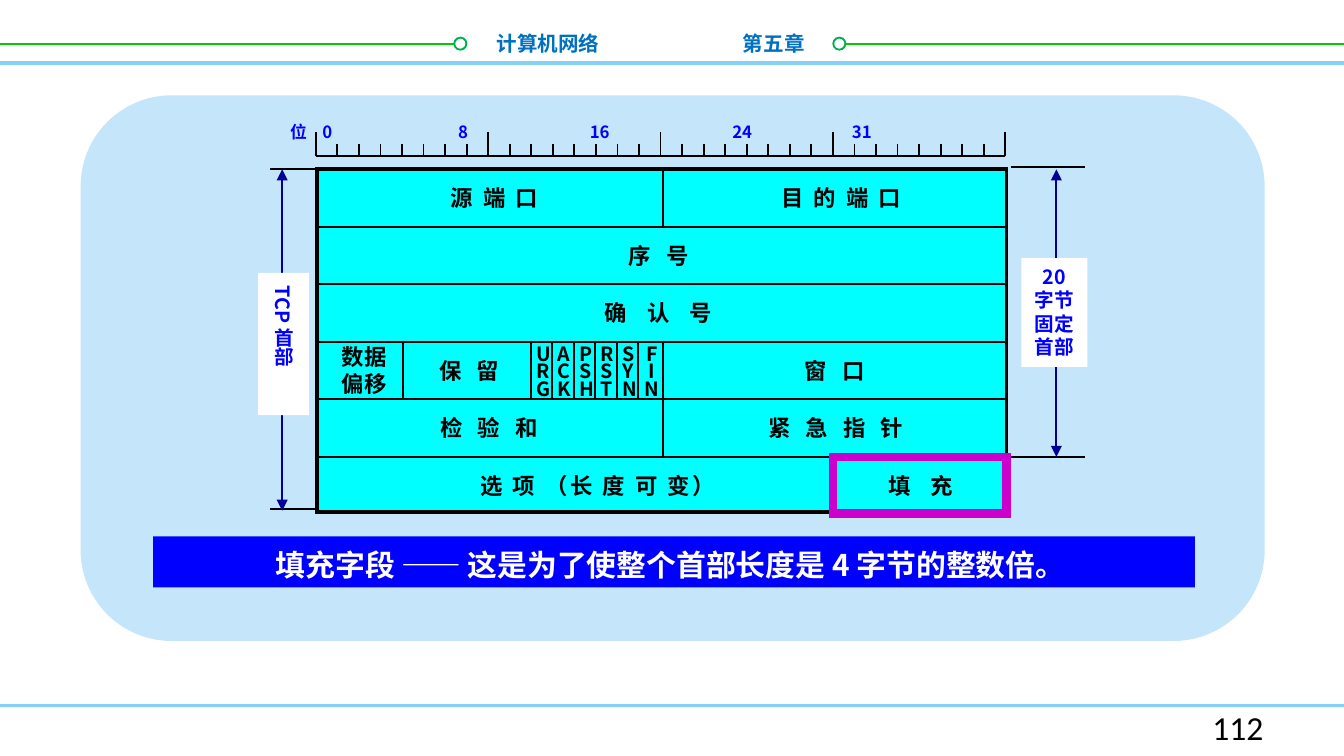
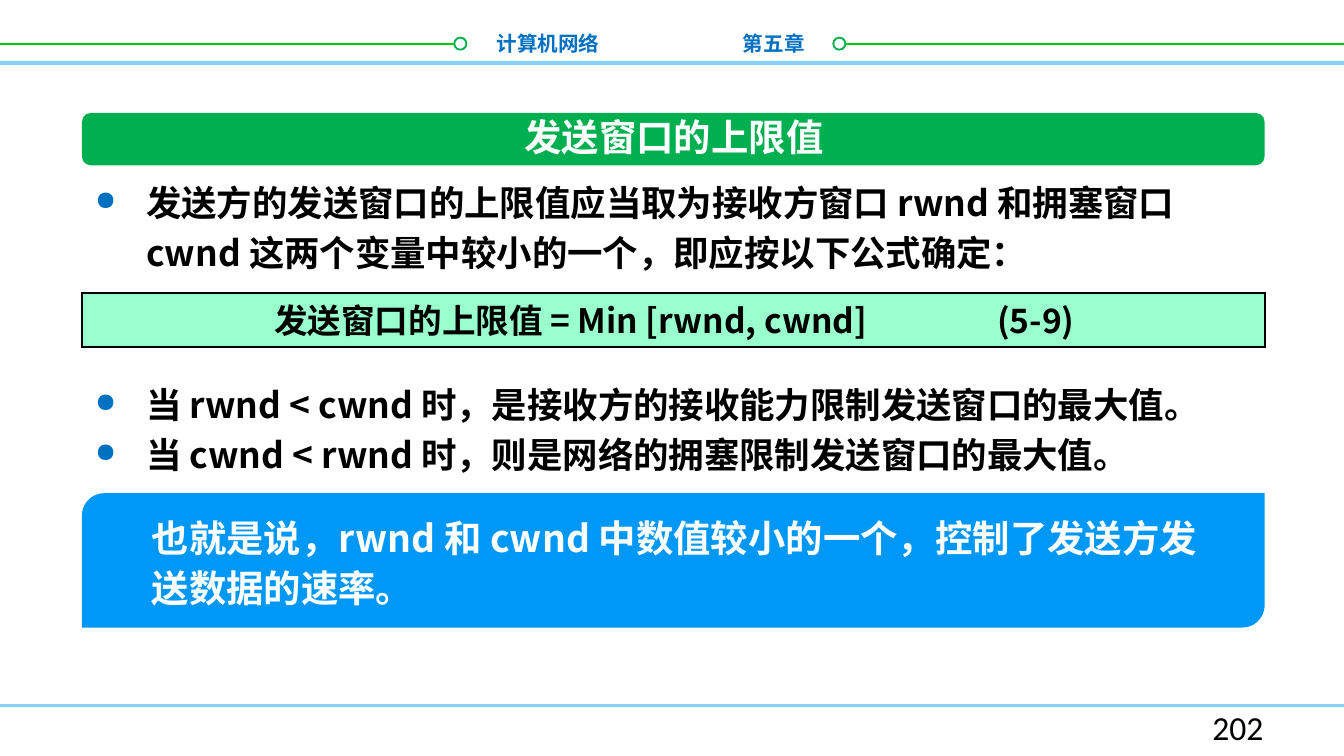
from lxml import etree
from pptx import Presentation
from pptx.dml.color import RGBColor
from pptx.enum.shapes import MSO_CONNECTOR, MSO_SHAPE
from pptx.enum.text import MSO_ANCHOR, MSO_AUTO_SIZE, PP_ALIGN
from pptx.oxml.ns import qn
from pptx.util import Inches, Pt

LEFT, CENTER, RIGHT = PP_ALIGN.LEFT, PP_ALIGN.CENTER, PP_ALIGN.RIGHT
TOP, MIDDLE = MSO_ANCHOR.TOP, MSO_ANCHOR.MIDDLE
RECT, ROUNDED, OVAL = MSO_SHAPE.RECTANGLE, MSO_SHAPE.ROUNDED_RECTANGLE, MSO_SHAPE.OVAL
DIAGONAL = MSO_SHAPE.ROUND_2_DIAG_RECTANGLE
STRAIGHT = MSO_CONNECTOR.STRAIGHT
FIT, NO_FIT = MSO_AUTO_SIZE.SHAPE_TO_FIT_TEXT, MSO_AUTO_SIZE.NONE

FONT, NUMBER_FONT = "Noto Sans CJK SC", "Calibri"
BLACK, WHITE = "000000", "FFFFFF"
SKY, LIME, GREEN, TITLE_BLUE = "85D1F7", "00CC00", "00B050", "0070C0"
PALE_BLUE, CYAN, BLUE, NAVY, MAGENTA = "C5E5FB", "00FFFF", "0000FF", "000099", "CC00CC"
MINT, BRIGHT_BLUE = "99FFCC", "0098F6"
WIDTH = 10
HEIGHT = WIDTH * 9 / 16


def color(value):
    return RGBColor.from_string(value)


def add_line(slide, x1, y1, x2, y2, line=BLACK, weight=1, arrows=False):
    connector = slide.shapes.add_connector(
        STRAIGHT, Inches(x1), Inches(y1), Inches(x2), Inches(y2))
    connector.line.color.rgb = color(line)
    connector.line.width = Pt(weight)
    if arrows:
        outline = connector.line._get_or_add_ln()
        for end in ("a:headEnd", "a:tailEnd"):
            etree.SubElement(outline, qn(end), type="triangle")
    etree.SubElement(connector._element.spPr, qn("a:effectLst"))


def add_box(slide, kind, left, top, width, height, fill=None, line=None, weight=1):
    box = slide.shapes.add_shape(
        kind, Inches(left), Inches(top), Inches(width), Inches(height))
    box.shadow.inherit = False
    if fill:
        box.fill.solid()
        box.fill.fore_color.rgb = color(fill)
    else:
        box.fill.background()
    if line:
        box.line.color.rgb = color(line)
        box.line.width = Pt(weight)
        etree.SubElement(box.line._get_or_add_ln(), qn("a:miter"), lim="800000")
    else:
        box.line.fill.background()
    return box


def write(box, text, size, ink=BLACK, align=LEFT, anchor=TOP, wrap=True, grow=True,
          spacing=None, tracking=0, font=FONT, bold=True, bullet=None, tabs=()):
    """Put text in a box; tracking is the extra gap between letters in points."""
    frame = box.text_frame
    frame.text = text
    frame.word_wrap = wrap
    frame.auto_size = FIT if grow else NO_FIT
    frame.vertical_anchor = anchor
    for para in frame.paragraphs:
        para.alignment = align
        properties = para._p.get_or_add_pPr()
        if bullet:
            properties.set("marL", str(Inches(0.38)))
            properties.set("indent", str(-Inches(0.38)))
            bullet_color = etree.SubElement(properties, qn("a:buClr"))
            etree.SubElement(bullet_color, qn("a:srgbClr"), val=bullet)
            etree.SubElement(properties, qn("a:buSzPct"), val="75000")
            etree.SubElement(properties, qn("a:buChar"), char="●")
        if tabs:
            stops = etree.SubElement(properties, qn("a:tabLst"))
            for stop in tabs:
                etree.SubElement(stops, qn("a:tab"), pos=str(Inches(stop)), algn="l")
        if spacing:
            para.line_spacing = spacing
        for span in para.runs:
            span.font.size = Pt(size)
            span.font.bold = bold
            span.font.color.rgb = color(ink)
            span.font.name = font
            etree.SubElement(span._r.rPr, qn("a:ea"), typeface=font)
            if tracking:
                span._r.rPr.set("spc", str(round(tracking * 100)))
    return frame


def add_text(slide, left, top, width, height, text, size, **style):
    box = slide.shapes.add_textbox(
        Inches(left), Inches(top), Inches(width), Inches(height))
    return write(box, text, size, **style)


def add_page(deck, number):
    """Add a slide with the course header, the footer rule and its number."""
    slide = deck.slides.add_slide(deck.slide_layouts[6])
    add_line(slide, 0, 0.47, WIDTH, 0.47, SKY, 2)
    for start, end, ring in ((0, 3.4, 3.38), (6.2, WIDTH, 6.2)):
        add_line(slide, start, 0.33, end, 0.33, LIME)
        add_box(slide, OVAL, ring, 0.28, 0.09, 0.09, WHITE, GREEN)
    add_text(slide, 5.43, 0.18, 1.16, 0.29, "第五章", 11, ink=TITLE_BLUE)
    add_text(slide, 3.59, 0.18, 0.97, 0.29, "计算机网络", 11, ink=TITLE_BLUE,
             align=RIGHT, wrap=False)
    add_line(slide, 0, 5.25, WIDTH, 5.25, SKY, 1.5)
    add_text(slide, 7.17, 5.21, 2.33, 0.3, str(number), 18, align=RIGHT, grow=False,
             font=NUMBER_FONT, bold=False)
    return slide


def add_bit_ruler(slide, left, top, width):
    bottom = top + 0.18
    add_line(slide, left, bottom, left + width, bottom)
    for bit in range(33):
        x = left + width * bit / 32
        add_line(slide, x, bottom - (0.09 if bit % 8 else 0.18), x, bottom)
    add_text(slide, left - 0.29, top - 0.12, 5.58, 0.25, "位\t0\t8\t16\t24\t31", 9,
             ink=BLUE, tabs=(0.24, 1.25, 2.23, 3.29, 4.18))


def add_extents(slide, left, top, width, fixed, total):
    """Mark the whole header on the left and its fixed part on the right."""
    for y in (top, top + total - 0.02):
        add_line(slide, left - 0.35, y, left, y)
    add_line(slide, left - 0.26, top, left - 0.26, top + total - 0.01, NAVY, arrows=True)
    whole = add_box(slide, RECT, left - 0.44, top + 0.77, 0.38, 1.06, WHITE)
    frame = write(whole, "TCP 首部", 10.5, ink=BLUE, align=CENTER, anchor=MIDDLE)
    frame._txBody.bodyPr.set("vert", "eaVert")

    right = left + width + 0.03
    for y in (top - 0.02, top + fixed):
        add_line(slide, right, y, right + 0.55, y)
    add_line(slide, right + 0.34, top, right + 0.34, top + fixed, NAVY, arrows=True)
    part = add_box(slide, RECT, right + 0.08, top + 0.66, 0.49, 0.81, WHITE)
    write(part, "20\n字节\n固定\n首部", 10.5, ink=BLUE, align=CENTER, wrap=False)


def add_header_fields(slide, left, top, width, height, row):
    add_box(slide, RECT, left, top, width, height, CYAN, BLACK, 2)
    for index in range(1, 6):
        add_line(slide, left, top + index * row, left + width, top + index * row)

    flags = ("URG", "ACK", "PSH", "RST", "SYN", "FIN")
    flag_left, flag_step = 1.59, 0.16
    dividers = [(2.57, 0, 1), (2.57, 3, 5), (0.64, 3, 4), (3.84, 5, 6)]
    dividers += [(flag_left + i * flag_step, 3, 4) for i in range(len(flags))]
    for x, first, last in dividers:
        add_line(slide, left + x, top + first * row, left + x,
                 min(top + last * row, top + height))

    # row, centre, width, tracking, text
    fields = (
        (0, 1.32, 0.91, 1.35, "源 端 口"),
        (0, 3.9, 1.18, 1.35, "目 的 端 口"),
        (1, 2.54, 0.92, 2.7, "序 号"),
        (2, 2.54, 1.23, 4, "确 认 号"),
        (3, 0.35, 0.54, 0, "数据\n偏移"),
        (3, 1.13, 0.69, 2.7, "保 留"),
        (3, 3.85, 0.69, 2.7, "窗 口"),
        (4, 1.28, 1.01, 2.7, "检 验 和"),
        (4, 3.86, 1.33, 2.7, "紧 急 指 针"),
        (5, 2.09, 2.3, 1.35, "选 项 （长 度 可 变）"),
        (5, 4.49, 0.84, 4, "填 充"),
    )
    for index, middle, span, tracking, text in fields:
        tall = 0.5 if "\n" in text else 0.3
        add_text(slide, left + middle - span / 2, top + (index + 0.5) * row - tall / 2,
                 span, tall, text, 12, align=CENTER, wrap=False, tracking=tracking)
    for index, flag in enumerate(flags):
        add_text(slide, left + flag_left - 0.06 + index * flag_step, top + 3 * row - 0.01,
                 0.32, 0.52, "\n".join(flag), 10.5, wrap=False, spacing=0.75,
                 align=CENTER if flag == "FIN" else LEFT)

    add_box(slide, RECT, left + 3.84, top + 5 * row, 1.29, 0.42,
            line=MAGENTA, weight=4.5)


def build_header_slide(deck):
    slide = add_page(deck, 112)
    add_box(slide, ROUNDED, 0.6, 0.71, 8.81, 4.06, PALE_BLUE)
    left, top, width, height, row = 2.36, 1.26, 5.13, 2.55, 0.428
    row = round(row, 3)
    add_extents(slide, left, top, width, 5 * row, height)
    add_header_fields(slide, left, top, width, height, row)
    add_bit_ruler(slide, left - 0.01, top - 0.28, width)
    banner = add_box(slide, RECT, 1.14, 3.99, 7.75, 0.38, BLUE)
    write(banner, "填充字段 —— 这是为了使整个首部长度是 4 字节的整数倍。 ", 16,
          ink=WHITE, align=CENTER, spacing=1.1)


def build_window_slide(deck):
    slide = add_page(deck, 202)
    left, width = 0.61, 8.8
    title = add_box(slide, ROUNDED, left, 0.84, width, 0.39, GREEN)
    title.adjustments[0] = 0.17
    add_text(slide, 3.79, 0.8, 2.45, 0.44, "发送窗口的上限值", 20, ink=WHITE,
             align=CENTER, wrap=False)

    points = (
        "发送方的发送窗口的上限值应当取为接收方窗口 rwnd 和拥塞窗口 cwnd "
        "这两个变量中较小的一个，即应按以下公式确定：",
        "当 rwnd < cwnd 时，是接收方的接收能力限制发送窗口的最大值。",
        "当 cwnd < rwnd 时，则是网络的拥塞限制发送窗口的最大值。",
    )
    frame = add_text(slide, left, 1.24, 8.95, 2.37, "\n".join(points), 19,
                     spacing=Pt(27), bullet=TITLE_BLUE)
    frame.paragraphs[1].space_before = Pt(54)

    formula = add_box(slide, RECT, left, 2.18, width, 0.4, MINT, BLACK)
    frame = write(formula, "发送窗口的上限值 = Min [rwnd, cwnd]\t(5-9)", 18,
                  anchor=MIDDLE, grow=False, tabs=(5.38,))
    frame.margin_left = Inches(1.43)

    add_box(slide, DIAGONAL, left, 3.67, width, 1, BRIGHT_BLUE)
    add_text(slide, left + 0.42, 3.74, 8.05, 0.82,
             "也就是说，rwnd 和 cwnd 中数值较小的一个，控制了发送方发送数据的速率。",
             20, ink=WHITE, spacing=Pt(27))


def main():
    deck = Presentation()
    deck.slide_width, deck.slide_height = Inches(WIDTH), Inches(HEIGHT)
    build_header_slide(deck)
    build_window_slide(deck)
    deck.save("out.pptx")


if __name__ == "__main__":
    main()
